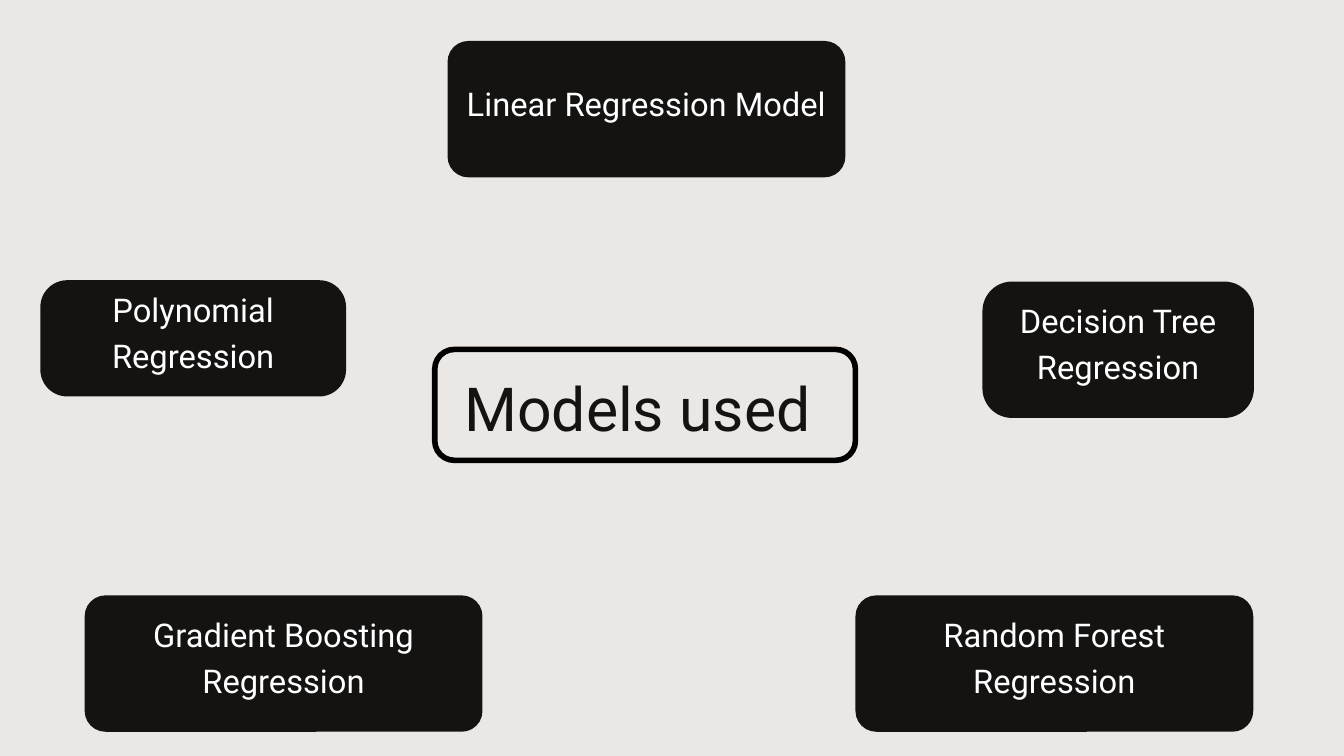
import pptx
import pptx.dml.color
import pptx.enum.shapes
import pptx.enum.text
import pptx.util
from pptx.util import Inches

RGBColor = pptx.dml.color.RGBColor
BACKGROUND = RGBColor(0xEB, 0xE7, 0xE4)
INK = RGBColor(0x14, 0x13, 0x12)
BLACK = RGBColor(0x00, 0x00, 0x00)
WHITE = RGBColor(0xFF, 0xFF, 0xFF)

FONT = "Roboto"
LABEL_RISE = 0.28
LABEL_INSET = 0.06

MODELS = [
    ("Linear Regression Model", (6.66, 0.61, 5.92, 2.03), 0.31),
    ("Decision Tree Regression", (14.62, 4.19, 4.04, 2.03), 0.44),
    ("Polynomial Regression", (0.6, 4.17, 4.55, 1.73), 0.4),
    ("Random Forest Regression", (12.73, 8.86, 5.92, 2.03), 0.31),
    ("Gradient Boosting Regression", (1.26, 8.86, 5.92, 2.03), 0.31),
]


def add_rounded_box(group, box, radius):
    shape = group.shapes.add_shape(
        pptx.enum.shapes.MSO_SHAPE.ROUNDED_RECTANGLE, *map(Inches, box)
    )
    shape.adjustments[0] = radius / min(box[2:])
    shape.shadow.inherit = False
    return shape


def add_label(group, box, text, size, spacing, color, inset, anchor):
    frame = group.shapes.add_textbox(*map(Inches, box)).text_frame
    frame.word_wrap = True
    frame.vertical_anchor = anchor
    frame.margin_left = frame.margin_right = Inches(inset)
    frame.margin_top = frame.margin_bottom = Inches(inset)
    paragraph = frame.paragraphs[0]
    paragraph.alignment = pptx.enum.text.PP_ALIGN.CENTER
    paragraph.line_spacing = pptx.util.Pt(spacing)
    run = paragraph.add_run()
    run.text = text
    run.font.name = FONT
    run.font.size = pptx.util.Pt(size)
    run.font.color.rgb = color


def add_model(slide, name, box, radius):
    left, top, width, height = box
    group = slide.shapes.add_group_shape()
    shape = add_rounded_box(group, box, radius)
    shape.fill.solid()
    shape.fill.fore_color.rgb = INK
    shape.line.fill.background()
    label_box = (left, top - LABEL_RISE, width, height + LABEL_RISE)
    add_label(group, label_box, name, 35, 49, WHITE, LABEL_INSET,
              pptx.enum.text.MSO_ANCHOR.MIDDLE)


def add_title(slide, text, box):
    left, top, width, height = box
    group = slide.shapes.add_group_shape()
    shape = add_rounded_box(group, box, 0.29)
    shape.fill.background()
    shape.line.color.rgb = BLACK
    shape.line.width = pptx.util.Pt(6)
    label_box = (left + 0.25, top + 0.14, width - 0.5, 1.28)
    add_label(group, label_box, text, 65, 91, INK, 0,
              pptx.enum.text.MSO_ANCHOR.TOP)


def main():
    presentation = pptx.Presentation()
    presentation.slide_width = Inches(20)
    presentation.slide_height = Inches(11.25)
    slide = presentation.slides.add_slide(presentation.slide_layouts[6])
    slide.background.fill.solid()
    slide.background.fill.fore_color.rgb = BACKGROUND
    for name, box, radius in MODELS:
        add_model(slide, name, box, radius)
    add_title(slide, "Models used ", (6.47, 5.2, 6.26, 1.65))
    presentation.save("out.pptx")


if __name__ == "__main__":
    main()
